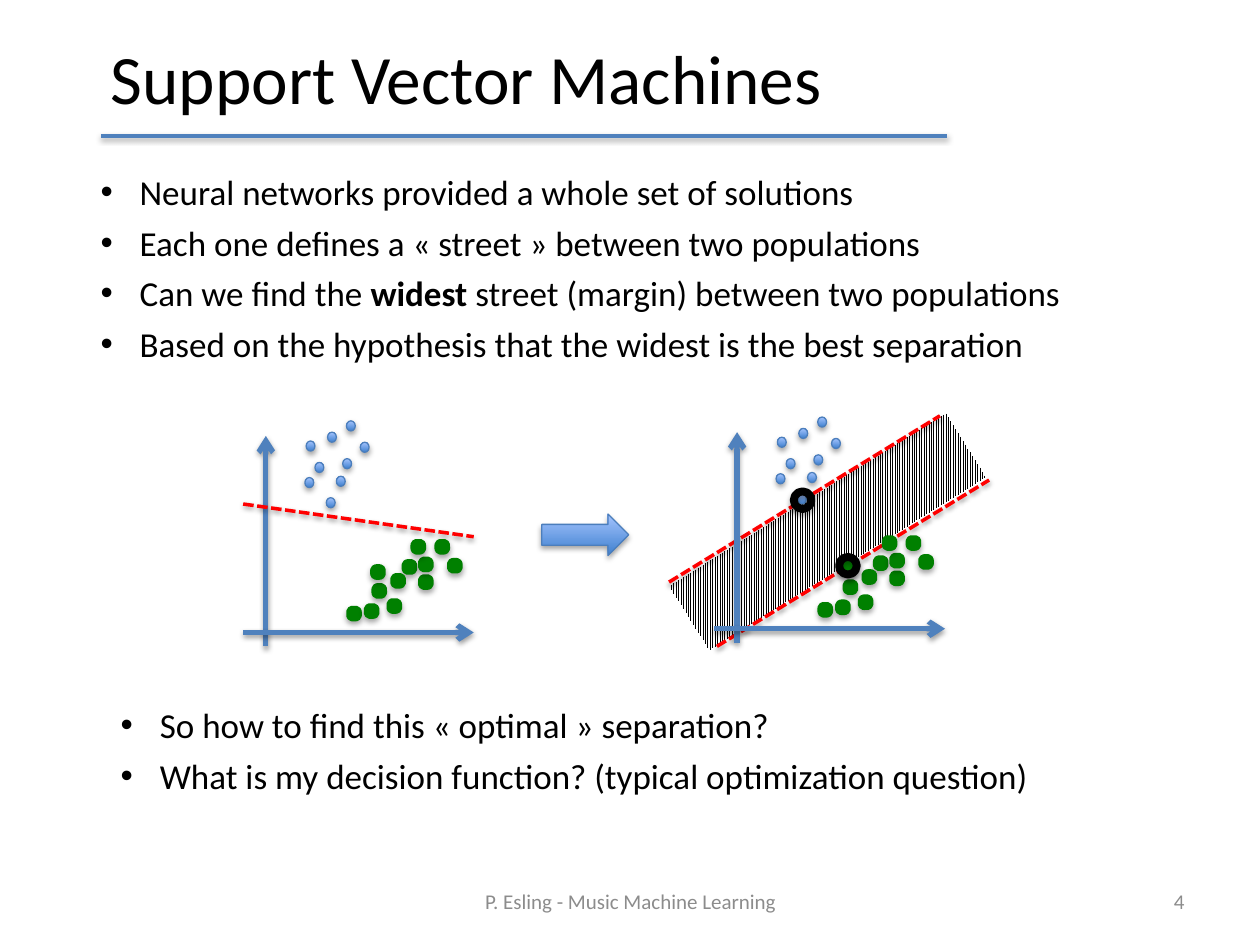
from dataclasses import dataclass

from lxml.etree import SubElement
from pptx import Presentation
from pptx.dml.color import RGBColor
from pptx.enum.dml import MSO_LINE, MSO_PATTERN
from pptx.enum.shapes import MSO_CONNECTOR, MSO_SHAPE
from pptx.enum.text import MSO_ANCHOR, PP_ALIGN
from pptx.oxml.ns import qn
from pptx.util import Inches, Pt

BLACK = RGBColor(0x00, 0x00, 0x00)
WHITE = RGBColor(0xFF, 0xFF, 0xFF)
GREY = RGBColor(0x8C, 0x8C, 0x8C)
BLUE = RGBColor(0x4F, 0x81, 0xBD)
EDGE_BLUE = RGBColor(0x4B, 0x7E, 0xBC)
DEEP_BLUE = RGBColor(0x3F, 0x80, 0xCE)
PALE_BLUE = RGBColor(0xA4, 0xC4, 0xFF)
RED = RGBColor(0xFF, 0x00, 0x00)
GREEN = RGBColor(0x00, 0x80, 0x00)

FONT = "Calibri"
INDENT = Inches(0.31)


@dataclass(frozen=True)
class Marker:
    """Look of one kind of sample point."""
    shape: MSO_SHAPE
    width: float
    height: float
    edge: RGBColor
    edge_pt: float
    filled: bool = True


BLUE_DOT = Marker(MSO_SHAPE.OVAL, 0.07, 0.08, EDGE_BLUE, 0.75)
GREEN_DOT = Marker(MSO_SHAPE.ROUNDED_RECTANGLE, 0.04, 0.04, GREEN, 6)
RING = Marker(MSO_SHAPE.OVAL, 0.14, 0.14, BLACK, 4.5, filled=False)
BLOCK_ARROW = Marker(MSO_SHAPE.RIGHT_ARROW, 0.69, 0.33, EDGE_BLUE, 0.75)

# Sample points of the left plot; the right plot shows them shifted
BLUE_POINTS = [(2.43, 3.5), (2.6, 3.43), (2.72, 3.64), (2.67, 3.78), (2.42, 3.79),
               (2.5, 3.67), (2.59, 3.95), (2.75, 3.34), (2.86, 3.51)]
GREEN_POINTS = [(3.23, 4.48), (3.36, 4.6), (3.36, 4.46), (2.99, 4.67),
                (2.98, 4.52), (3.59, 4.47), (3.14, 4.59), (3.11, 4.79),
                (2.79, 4.85), (2.93, 4.83), (3.49, 4.32), (3.3, 4.32)]
RIGHT_DX, RIGHT_DY = 3.74, -0.03


def add_shadow(effects, opacity: int, dist: float) -> None:
    shadow = SubElement(effects, qn("a:outerShdw"), blurRad=str(Pt(3.1)),
                        dist=str(Pt(dist)), dir="5400000", rotWithShape="0")
    color = SubElement(shadow, qn("a:srgbClr"), val=str(BLACK))
    SubElement(color, qn("a:alpha"), val=str(opacity * 1000))


def add_text(s, text: str, x: float, y: float, w: float, h: float, *,
             size: float = 20, color: RGBColor = BLACK, align=PP_ALIGN.LEFT,
             anchor=MSO_ANCHOR.TOP, bullets: bool = False) -> None:
    """Write one paragraph per line; words between ** are bold."""
    tf = s.shapes.add_textbox(Inches(x), Inches(y), Inches(w), Inches(h)).text_frame
    tf.word_wrap = True
    tf.vertical_anchor = anchor
    for i, line in enumerate(text.split("\n")):
        p = tf.add_paragraph() if i else tf.paragraphs[0]
        p.alignment = align
        if bullets:
            p.line_spacing = 1.2
            pPr = p._p.get_or_add_pPr()
            pPr.set("marL", str(INDENT))
            pPr.set("indent", str(-INDENT))
            SubElement(pPr, qn("a:buFont"), typeface="Arial")
            SubElement(pPr, qn("a:buChar"), char="•")
        for j, part in enumerate(line.split("**")):
            r = p.add_run()
            r.text = part
            r.font.name = FONT
            r.font.size = Pt(size)
            r.font.bold = j % 2 == 1
            r.font.color.rgb = color


def add_line(s, x1: float, y1: float, x2: float, y2: float, *, width: float = 2,
             color: RGBColor = BLUE, dashed: bool = False, arrow: bool = False) -> None:
    sp = s.shapes.add_connector(MSO_CONNECTOR.STRAIGHT, Inches(x1), Inches(y1),
                                Inches(x2), Inches(y2))
    sp.line.color.rgb = color
    sp.line.width = Pt(width)
    if dashed:
        sp.line.dash_style = MSO_LINE.SQUARE_DOT
    if arrow:
        SubElement(sp.line._get_or_add_ln(), qn("a:tailEnd"), type="arrow")
    add_shadow(SubElement(sp._element.spPr, qn("a:effectLst")), 38, 1.6)


def add_marker(s, m: Marker, x: float, y: float) -> None:
    sp = s.shapes.add_shape(m.shape, Inches(x), Inches(y),
                            Inches(m.width), Inches(m.height))
    if m.filled:
        sp.fill.gradient()
        sp.fill.gradient_angle = 90
        for stop, color in zip(sp.fill.gradient_stops, (DEEP_BLUE, PALE_BLUE)):
            stop.color.rgb = color
    else:
        sp.fill.background()
    sp.line.color.rgb = m.edge
    sp.line.width = Pt(m.edge_pt)
    sp.shadow.inherit = False
    add_shadow(sp._element.spPr.find(qn("a:effectLst")), 35, 1.8)


def add_axes(s, dx: float = 0, dy: float = 0) -> None:
    add_line(s, 2.11 + dx, 5.13 + dy, 2.11 + dx, 3.46 + dy, width=3, arrow=True)
    add_line(s, 1.93 + dx, 5.02 + dy, 3.76 + dx, 5.02 + dy, width=3, arrow=True)


def add_points(s, dx: float = 0, dy: float = 0) -> None:
    for marker, points in ((BLUE_DOT, BLUE_POINTS), (GREEN_DOT, GREEN_POINTS)):
        for x, y in points:
            add_marker(s, marker, x + dx, y + dy)


def add_street(s) -> None:
    """Hatched margin with its two dashed borders."""
    sp = s.shapes.add_shape(MSO_SHAPE.RECTANGLE, Inches(5.27), Inches(3.92),
                            Inches(2.59), Inches(0.6))
    sp.rotation = 328
    sp.fill.patterned()
    sp.fill.pattern = MSO_PATTERN.LIGHT_VERTICAL
    sp.fill.fore_color.rgb = BLACK
    sp.fill.back_color.rgb = WHITE
    sp.line.fill.background()
    sp.shadow.inherit = False
    add_line(s, 5.69, 5.13, 7.85, 3.81, color=RED, dashed=True)
    add_line(s, 5.31, 4.62, 7.46, 3.3, color=RED, dashed=True)


def main() -> None:
    prs = Presentation()
    prs.slide_width, prs.slide_height = Inches(10), Inches(7.5)
    s = prs.slides.add_slide(prs.slide_layouts[6])

    # Title, footer and page number
    add_text(s, "Support Vector Machines", -0.56, 0.25, 8.52, 0.72, size=39.6,
             align=PP_ALIGN.CENTER, anchor=MSO_ANCHOR.MIDDLE)
    add_text(s, "P. Esling - Music Machine Learning", 3.42, 6.95, 3.17, 0.4, size=12,
             color=GREY, align=PP_ALIGN.CENTER, anchor=MSO_ANCHOR.MIDDLE)
    add_text(s, "4", 7.17, 6.95, 2.33, 0.4, size=12, color=GREY,
             align=PP_ALIGN.RIGHT, anchor=MSO_ANCHOR.MIDDLE)
    add_line(s, 0.8, 1.08, 7.52, 1.08)

    # Opening points
    add_text(s, "Neural networks provided a whole set of solutions\n"
                "Each one defines a « street » between two populations\n"
                "Can we find the **widest **street (margin) between two populations\n"
                "Based on the hypothesis that the widest is the best separation",
             0.7, 1.24, 7.89, 1.69, bullets=True)

    # Left plot: one possible separation
    add_street(s)
    add_axes(s)
    add_line(s, 1.93, 4, 3.76, 4.26, color=RED, dashed=True)
    add_points(s)

    # Right plot: widest street with its support vectors ringed
    add_axes(s, RIGHT_DX, RIGHT_DY)
    add_points(s, RIGHT_DX, RIGHT_DY)
    add_marker(s, RING, 6.3, 3.9)
    add_marker(s, RING, 6.66, 4.42)
    add_marker(s, BLOCK_ARROW, 4.3, 4.08)

    # Closing questions
    add_text(s, "So how to find this « optimal » separation?\n"
                "What is my decision function? (typical optimization question)",
             0.86, 5.47, 7.48, 0.88, bullets=True)

    prs.save("out.pptx")


if __name__ == "__main__":
    main()
